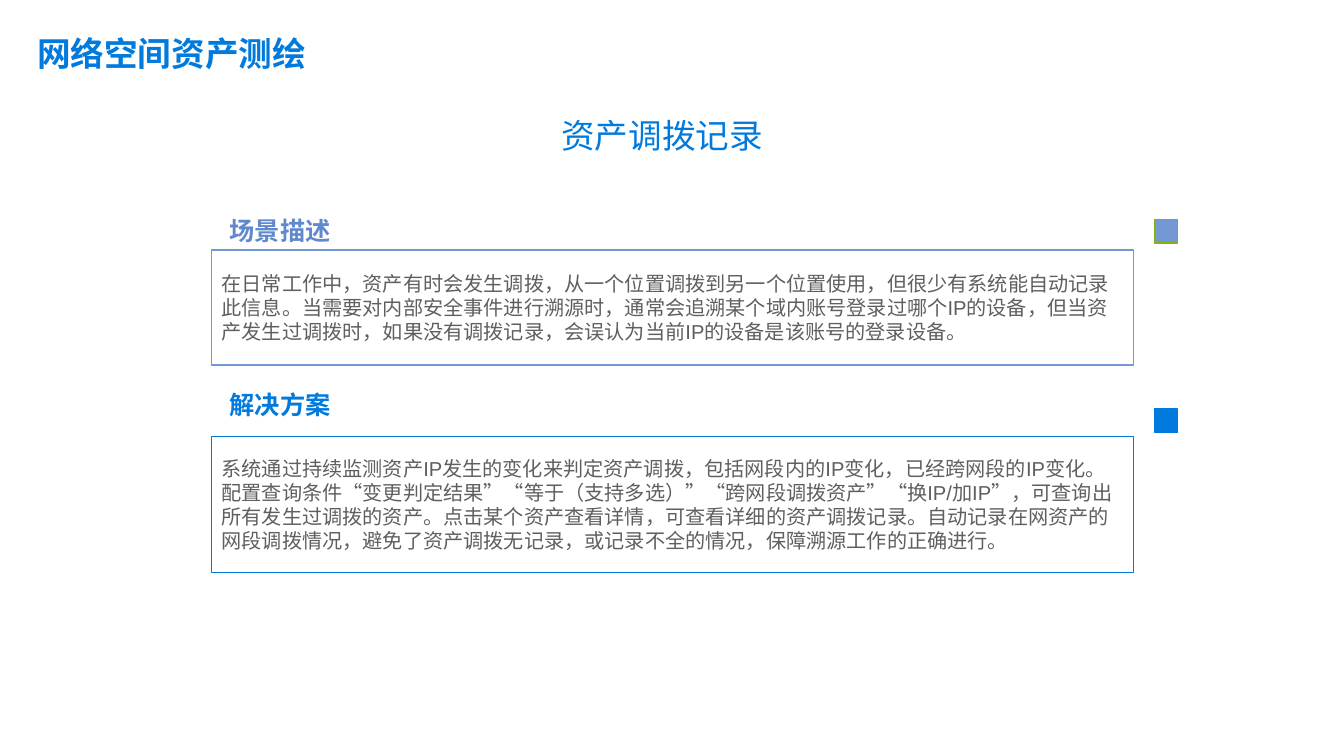
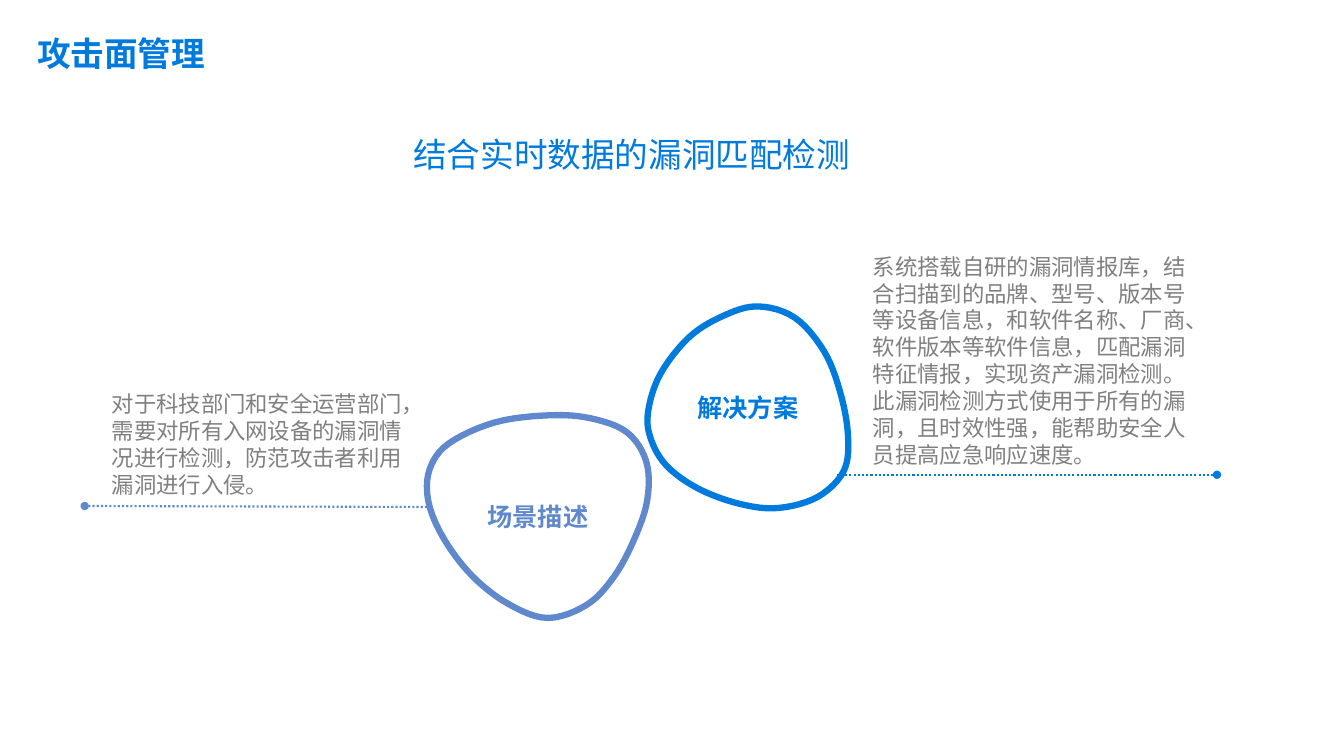
from lxml.etree import SubElement
from pptx import Presentation
from pptx.dml.color import RGBColor
from pptx.enum.dml import MSO_LINE
from pptx.enum.shapes import MSO_CONNECTOR, MSO_SHAPE
from pptx.enum.text import MSO_ANCHOR, PP_ALIGN
from pptx.oxml.ns import qn
from pptx.util import Pt

PX = 9144  # 100 px to the inch
STEPS = 6
HAN = "Noto Sans CJK SC"
HEX = {"blue": "007ADD", "soft": "5F88CD", "pale": "7498D4",
       "green": "83B40D", "dark": "5F5F5F", "gray": "808080"}
RGB = {name: RGBColor.from_string(code) for name, code in HEX.items()}


def write(shape, text, size, color, font="Arial", bold=False, wrap=True):
    frame = shape.text_frame
    frame.word_wrap = wrap
    run = frame.paragraphs[0].add_run()
    run.text = text
    run.font.size = Pt(size)
    run.font.bold = bold
    run.font.color.rgb = RGB[color]
    run.font.name = font
    SubElement(run.font._element, qn("a:ea"), typeface=HAN)


def curve(knots):
    """Points of a closed Catmull-Rom curve through the knots."""
    points = []
    for i in range(len(knots)):
        quad = [knots[(i + k) % len(knots)] for k in (-1, 0, 1, 2)]
        for step in range(STEPS):
            t = step / STEPS
            points.append(tuple(
                round(PX * (b + t * (c - a) / 2
                            + t * t * (2 * a - 5 * b + 4 * c - d) / 2
                            + t ** 3 * (3 * b - a - 3 * c + d) / 2))
                for a, b, c, d in zip(*quad)))
    return points


deck = Presentation()
deck.slide_width, deck.slide_height = 1333 * PX, 750 * PX

# Headings shared by both slides: title, subtitle, subtitle left, top, width
heads = [
    ("网络空间资产测绘", "资产调拨记录", 547, 109, 220),
    ("攻击面管理", "结合实时数据的漏洞匹配检测", 400, 128, 453),
]
slides = []
for title, sub, left, top, width in heads:
    slide = deck.slides.add_slide(deck.slide_layouts[6])
    box = slide.shapes.add_textbox(27 * PX, 28 * PX, 1089 * PX, 50 * PX)
    write(box, title, 24, "blue", HAN, bold=True)
    box = slide.shapes.add_textbox(left * PX, top * PX, width * PX, 50 * PX)
    write(box, sub, 24, "blue", wrap=False)
    slides.append(slide.shapes)
moves, match = slides

# Slide 1: label, colour, label top, panel top, panel height,
# panel line, marker top, marker fill, marker line, text
panels = [
    ("场景描述", "soft", 209, 248, 114, "pale", 218, "pale", "green",
     "在日常工作中，资产有时会发生调拨，从一个位置调拨到另一个位置使用，但很少有系统能自动记录此信息。"
     "当需要对内部安全事件进行溯源时，通常会追溯某个域内账号登录过哪个IP的设备，"
     "但当资产发生过调拨时，如果没有调拨记录，会误认为当前IP的设备是该账号的登录设备。"),
    ("解决方案", "blue", 381, 433, 135, "blue", 406, "blue", "blue",
     "系统通过持续监测资产IP发生的变化来判定资产调拨，包括网段内的IP变化，已经跨网段的IP变化。"
     "配置查询条件“变更判定结果”“等于（支持多选）”“跨网段调拨资产”“换IP/加IP”，"
     "可查询出所有发生过调拨的资产。点击某个资产查看详情，可查看详细的资产调拨记录。"
     "自动记录在网资产的网段调拨情况，避免了资产调拨无记录，或记录不全的情况，保障溯源工作的正确进行。"),
]
for label, color, high, top, tall, edge, mark, fill, rim, text in panels:
    panel = moves.add_shape(MSO_SHAPE.RECTANGLE, 210 * PX, top * PX, 914 * PX, tall * PX)
    panel.fill.background()
    panel.line.color.rgb = RGB[edge]
    write(panel, text, 14.4, "dark")
    panel.text_frame.paragraphs[0].alignment = PP_ALIGN.LEFT
    square = moves.add_shape(MSO_SHAPE.RECTANGLE, 1145 * PX, mark * PX, 23 * PX, 23 * PX)
    square.fill.solid()
    square.fill.fore_color.rgb = RGB[fill]
    square.line.color.rgb = RGB[rim]
    for shape in (panel, square):
        shape.shadow.inherit = False
        shape.line.width = Pt(1)
    box = moves.add_textbox(218 * PX, high * PX, 120 * PX, 40 * PX)
    write(box, label, 18, color, bold=True, wrap=False)

# Slide 2: label, colour, line ends, text box, knots of the outline, text
blobs = [
    ("场景描述", "soft", (84, 502, 429, 503), (101, 382, 312, 105),
     [(544, 412), (586, 415), (622, 429), (641, 458), (642, 496), (629, 535),
      (609, 572), (582, 600), (543, 613), (504, 599), (468, 571), (440, 534),
      (425, 498), (426, 466), (445, 440), (491, 419)],
     "对于科技部门和安全运营部门，需要对所有入网设备的漏洞情况进行检测，防范攻击者利用漏洞进行入侵。"),
    ("解决方案", "blue", (1207, 471, 830, 471), (856, 246, 350, 177),
     [(751, 304), (788, 315), (817, 348), (833, 388), (841, 431), (837, 467),
      (811, 493), (772, 504), (734, 500), (693, 485), (661, 462), (645, 434),
      (643, 407), (655, 371), (683, 335), (716, 314)],
     "系统搭载自研的漏洞情报库，结合扫描到的品牌、型号、版本号等设备信息，"
     "和软件名称、厂商、软件版本等软件信息，匹配漏洞特征情报，实现资产漏洞检测。"
     "此漏洞检测方式使用于所有的漏洞，且时效性强，能帮助安全人员提高应急响应速度。"),
]
for label, color, ends, area, knots, text in blobs:
    link = match.add_connector(MSO_CONNECTOR.STRAIGHT, *(n * PX for n in ends))
    link.line.color.rgb = RGB[color]
    link.line.width = Pt(1.5)
    link.line.dash_style = MSO_LINE.ROUND_DOT
    SubElement(link.line._get_or_add_ln(), qn("a:headEnd"), type="oval")
    SubElement(link._element.spPr, qn("a:effectLst"))
    box = match.add_textbox(*(n * PX for n in area))
    write(box, text, 16, "gray", HAN)
    first, *rest = curve(knots)
    pen = match.build_freeform(*first)
    pen.add_line_segments(rest, close=True)
    blob = pen.convert_to_shape()
    blob.shadow.inherit = False
    blob.fill.background()
    blob.line.color.rgb = RGB[color]
    blob.line.width = Pt(4.5)
    write(blob, label, 18, color, HAN, bold=True)
    blob.text_frame.vertical_anchor = MSO_ANCHOR.MIDDLE
    blob.text_frame.paragraphs[0].alignment = PP_ALIGN.CENTER

deck.save("out.pptx")
